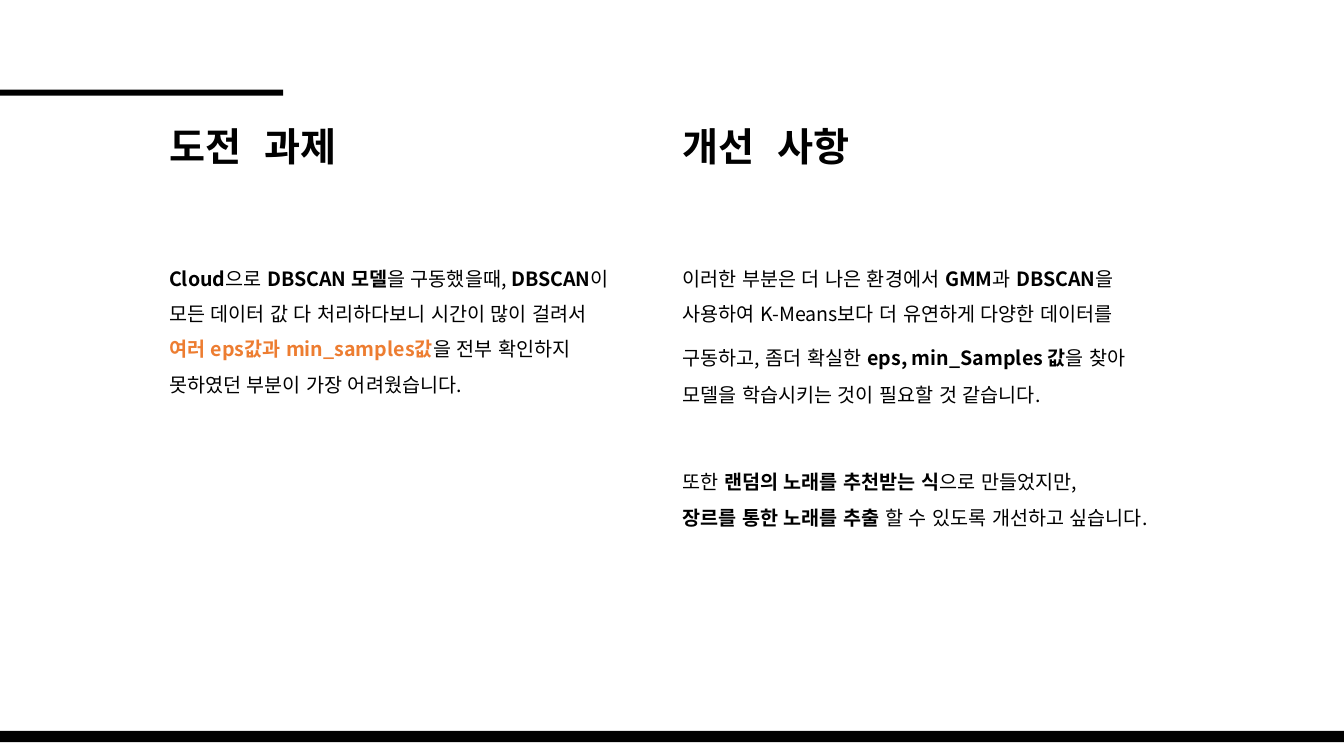
from dataclasses import dataclass

from lxml import etree
from pptx import Presentation
from pptx.dml.color import RGBColor
from pptx.enum.lang import MSO_LANGUAGE_ID
from pptx.enum.shapes import MSO_SHAPE
from pptx.enum.text import MSO_ANCHOR, MSO_AUTO_SIZE, PP_ALIGN
from pptx.oxml.ns import qn
from pptx.util import Cm, Pt


@dataclass(frozen=True)
class Theme:
    ink: RGBColor = RGBColor(0x00, 0x00, 0x00)
    accent: RGBColor = RGBColor(0xED, 0x7D, 0x31)
    heading_font: str = "Noto Sans Mono"
    body_font: str = "Noto Sans CJK KR"
    heading_size: int = 28
    body_size: int = 14
    wide_space_size: int = 18
    line_spacing: float = 1.5


THEME = Theme()
LEFT_COLUMN, RIGHT_COLUMN = 4.01, 16.95
HEADING_TOP, BODY_TOP, EXTRA_TOP = 2.36, 6.3, 11.43
HEADING_WIDTH, HEADING_HEIGHT = 12.57, 1.85


def plain(text, size=THEME.body_size):
    return text, False, THEME.ink, size, THEME.body_font


def bold(text, color=THEME.ink):
    return text, True, color, THEME.body_size, THEME.body_font


def heading(text):
    return text, True, THEME.ink, THEME.heading_size, THEME.heading_font


CHALLENGE = [[
    bold("Cloud"), plain("으로 "), bold("DBSCAN 모델"), plain("을 구동했을때, "),
    bold("DBSCAN"), plain("이 모든 데이터 값 다 처리하다보니 시간이 많이 걸려서 "),
    bold("여러 eps값과 min_samples값", THEME.accent),
    plain("을 전부 확인하지 못하였던 부분이 가장 어려웠습니다."),
]]
IMPROVEMENT = [[
    plain("이러한 부분은 더 나은 환경에서 "), bold("GMM"), plain("과 "), bold("DBSCAN"),
    plain("을 사용하여 K-Means보다 더 유연하게 다양한 데이터를 구동하고,"),
    plain(" ", THEME.wide_space_size), plain("좀더 확실한 "),
    bold("eps, min_Samples 값"),
    plain("을 찾아 모델을 학습시키는 것이 필요할 것 같습니다."),
]]
NEXT_STEP = [
    [plain("또한 "), bold("랜덤의 노래를 추천받는 식"), plain("으로 만들었지만,")],
    [bold("장르를 통한 노래를 추출 "), plain("할 수 있도록 개선하고 싶습니다.")],
]


def add_run(paragraph, text, is_bold, color, size, font_name):
    run = paragraph.add_run()
    run.text = text
    font = run.font
    font.size = Pt(size)
    font.bold = is_bold
    font.color.rgb = color
    font.name = font_name
    font.language_id = MSO_LANGUAGE_ID.KOREAN
    east_asian = etree.SubElement(font._element, qn("a:ea"))
    east_asian.set("typeface", font_name)


def fill_text(shape, paragraphs):
    """Write paragraphs, each a list of formatted runs, into a shape."""
    frame = shape.text_frame
    frame.word_wrap = True
    frame.auto_size = MSO_AUTO_SIZE.NONE
    frame.vertical_anchor = MSO_ANCHOR.TOP
    for index, runs in enumerate(paragraphs):
        paragraph = frame.add_paragraph() if index else frame.paragraphs[0]
        paragraph.alignment = PP_ALIGN.LEFT
        paragraph.line_spacing = THEME.line_spacing
        paragraph.space_before = Pt(0)
        for run in runs:
            add_run(paragraph, *run)


def add_text(slide, left, top, width, height, paragraphs):
    shape = slide.shapes.add_textbox(Cm(left), Cm(top), Cm(width), Cm(height))
    fill_text(shape, paragraphs)


def set_title(slide, text):
    title = slide.shapes.title
    title.left, title.top = Cm(LEFT_COLUMN), Cm(HEADING_TOP)
    title.width, title.height = Cm(HEADING_WIDTH), Cm(HEADING_HEIGHT)
    fill_text(title, [[heading(text)]])


def add_bar(slide, top, width, height):
    bar = slide.shapes.add_shape(MSO_SHAPE.RECTANGLE, 0, Cm(top), width, Cm(height))
    bar.shadow.inherit = False
    bar.fill.solid()
    bar.fill.fore_color.rgb = THEME.ink
    bar.line.fill.background()


def main():
    presentation = Presentation()
    presentation.slide_width, presentation.slide_height = Cm(33.87), Cm(19.05)
    slide = presentation.slides.add_slide(presentation.slide_layouts.get_by_name("Title Only"))

    add_bar(slide, 18.42, presentation.slide_width, 0.28)
    add_bar(slide, 2.26, Cm(7.14), 0.15)

    set_title(slide, "도전 과제")
    add_text(slide, LEFT_COLUMN, BODY_TOP, 11.86, 3.73, CHALLENGE)

    add_text(slide, RIGHT_COLUMN, HEADING_TOP, HEADING_WIDTH, HEADING_HEIGHT,
             [[heading("개선 사항")]])
    add_text(slide, RIGHT_COLUMN, BODY_TOP, 12.57, 3.99, IMPROVEMENT)
    add_text(slide, RIGHT_COLUMN, EXTRA_TOP, 13.61, 1.93, NEXT_STEP)

    presentation.save("out.pptx")


if __name__ == "__main__":
    main()
